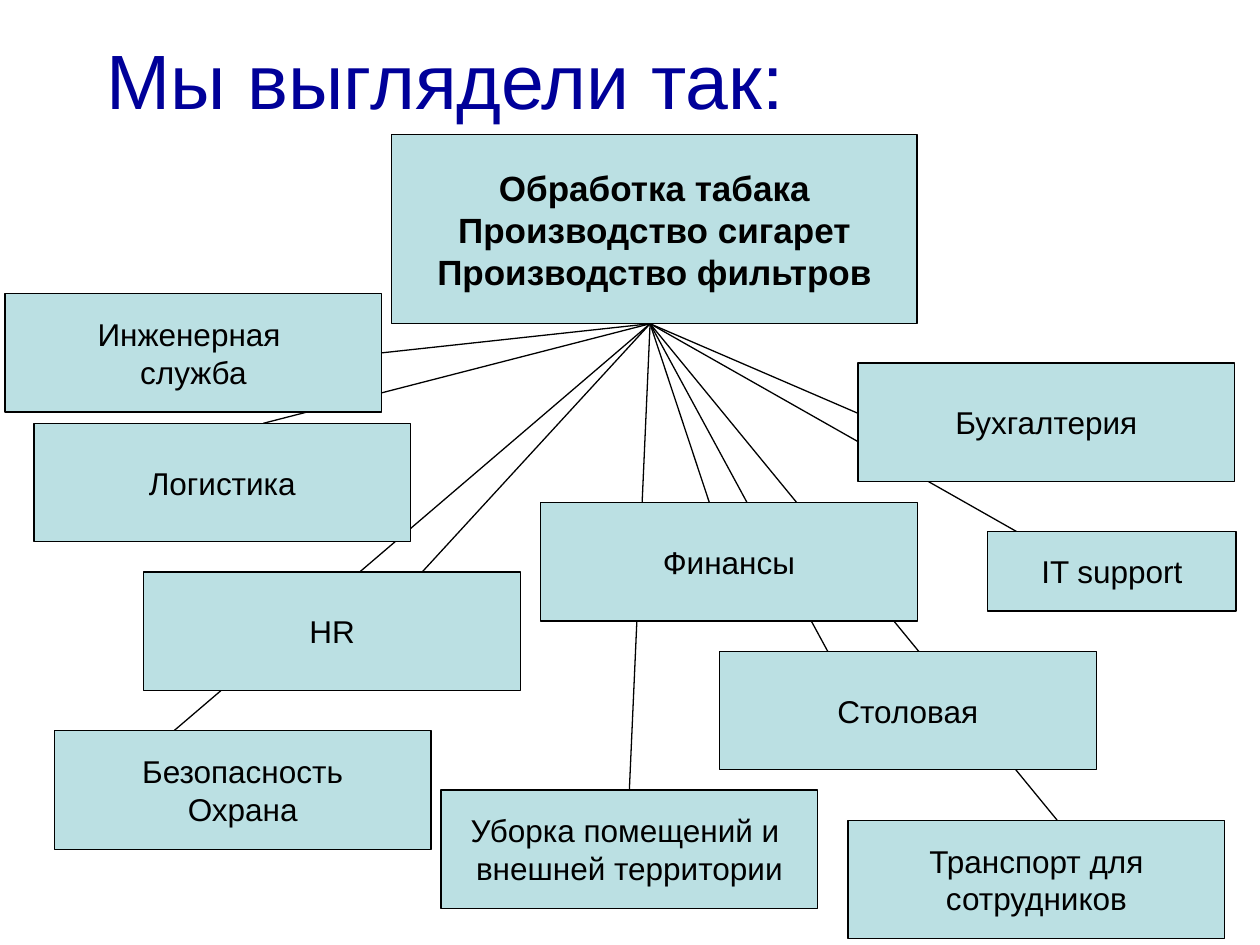
"""Build a slide with an organisation chart: one core business box and ten departments."""
from lxml import etree
from pptx import Presentation
from pptx.dml.color import RGBColor
from pptx.enum.shapes import MSO_CONNECTOR, MSO_SHAPE
from pptx.enum.text import MSO_ANCHOR, PP_ALIGN
from pptx.oxml.ns import qn
from pptx.util import Pt

RECTANGLE = MSO_SHAPE.RECTANGLE
STRAIGHT = MSO_CONNECTOR.STRAIGHT
MIDDLE = MSO_ANCHOR.MIDDLE
CENTER, LEFT = PP_ALIGN.CENTER, PP_ALIGN.LEFT
TOP_SIDE, RIGHT_SIDE = 0, 3

COLORS = {"title": "000099", "box": "BBE0E3", "ink": "000000"}
BOX_SIZE = (215.3, 67.7)
SMALL_SIZE = (141.8, 45.4)
HUB = (371.5, 185)


def write_lines(shape, lines, size, color, alignment, bold=False, wrap=False):
    """Fill a shape with one paragraph per line."""
    frame = shape.text_frame
    frame.word_wrap = wrap
    frame.vertical_anchor = MIDDLE
    frame.text = "\n".join(lines)
    font_format = {"name": "Arial", "size": Pt(size), "bold": bold}
    for paragraph in frame.paragraphs:
        paragraph.alignment = alignment
        for name, value in font_format.items():
            setattr(paragraph.font, name, value)
        paragraph.font.color.rgb = RGBColor.from_string(COLORS[color])


def add_box(lines, left, top, size, font_size=18, bold=False):
    """Add an outlined box with centred text."""
    shape = slide.shapes.add_shape(RECTANGLE, Pt(left), Pt(top), *map(Pt, size))
    shape.shadow.inherit = False
    shape.fill.solid()
    shape.fill.fore_color.rgb = RGBColor.from_string(COLORS["box"])
    shape.line.color.rgb = RGBColor.from_string(COLORS["ink"])
    shape.line.width = Pt(0.75)
    write_lines(shape, lines, font_size, "ink", CENTER, bold)
    return shape


presentation = Presentation()
presentation.slide_width, presentation.slide_height = Pt(720), Pt(540)
slide = presentation.slides.add_slide(presentation.slide_layouts[6])

title = slide.shapes.add_textbox(Pt(54), Pt(0), Pt(544.3), Pt(90))
write_lines(title, ["Мы выглядели так:"], 44, "title", LEFT, wrap=True)

departments = [
    (["Безопасность", "Охрана"], 31, 417.6, BOX_SIZE, (99.4, 417.6), None),
    (["Уборка помещений и ", "внешней территории"], 252, 451.4, BOX_SIZE, (359.7, 451.4), TOP_SIDE),
    (["Транспорт для", "сотрудников"], 484.6, 468.7, BOX_SIZE, (604.1, 468.7), None),
    (["HR"], 82.1, 326.9, BOX_SIZE, (241.2, 326.9), None),
    (["Финансы"], 308.9, 287.3, BOX_SIZE, (405.4, 287.3), None),
    (["Столовая"], 411.1, 372.2, BOX_SIZE, (473, 372.2), None),
    (["IT support"], 564.5, 303.8, SMALL_SIZE, (581, 303.8), None),
    (["Бухгалтерия"], 490.3, 207.4, BOX_SIZE, (490.3, 236.2), None),
    (["Логистика"], 19.4, 241.9, BOX_SIZE, (150.5, 241.9), None),
    (["Инженерная ", "служба"], 2.9, 167.8, BOX_SIZE, (218.2, 201.7), RIGHT_SIDE),
]

connectors = []
for *_, line_end, _ in departments:
    connector = slide.shapes.add_connector(STRAIGHT, *map(Pt, HUB + line_end))
    connector.line.color.rgb = RGBColor.from_string(COLORS["ink"])
    connector.line.width = Pt(0.75)
    etree.SubElement(connector.element.spPr, qn("a:effectLst"))
    connectors.append(connector)

add_box(
    ["Обработка табака", "Производство сигарет", "Производство фильтров"],
    223.9, 77, (300.2, 108), font_size=20, bold=True,
)

for connector, (lines, left, top, size, _, side) in zip(connectors, departments):
    box = add_box(lines, left, top, size)
    if side is not None:
        connector.end_connect(box, side)

presentation.save("out.pptx")
